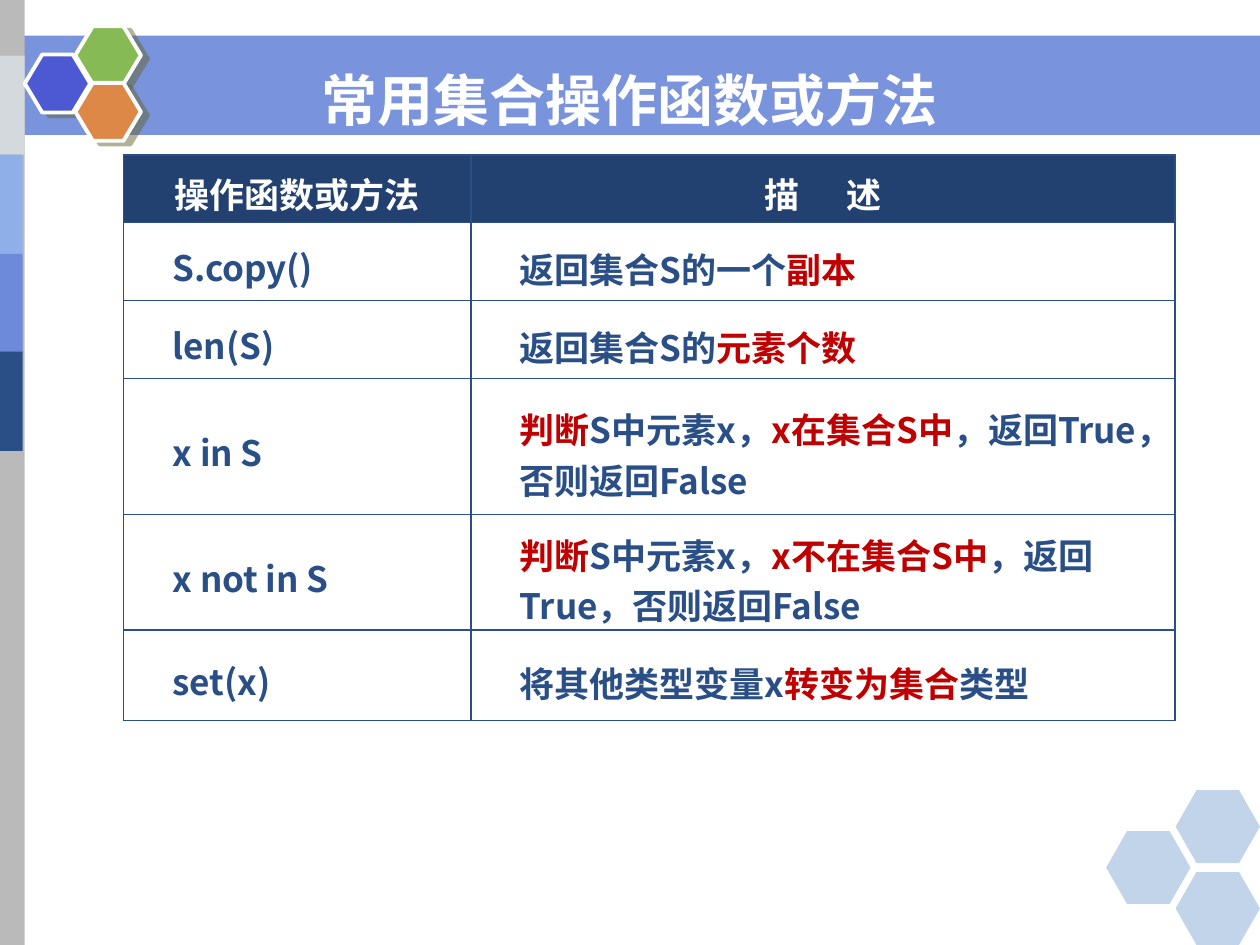
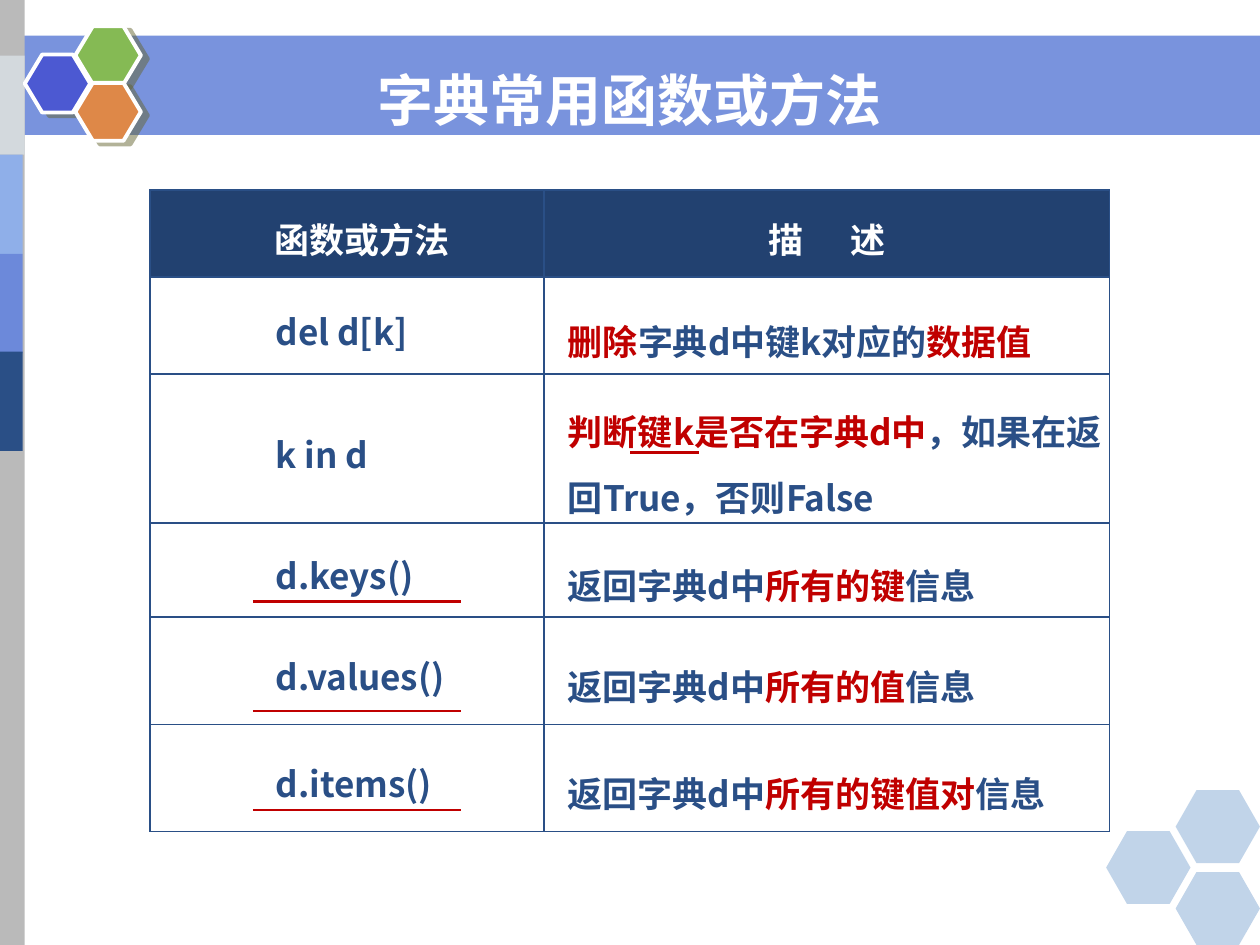
from lxml import etree
from pptx import Presentation
from pptx import util as u
from pptx.dml.color import RGBColor
from pptx.enum import shapes, text
from pptx.oxml import ns

WHITE = RGBColor(0xFF, 0xFF, 0xFF)
GREY = RGBColor(0xBA, 0xBA, 0xBA)
SILVER = RGBColor(0xD3, 0xD9, 0xDD)
SKY = RGBColor(0x8F, 0xAF, 0xE9)
PERIWINKLE = RGBColor(0x6C, 0x89, 0xDA)
NAVY = RGBColor(0x2A, 0x4F, 0x86)
HEADER_NAVY = RGBColor(0x22, 0x41, 0x70)
INDIGO = RGBColor(0x4C, 0x59, 0xD2)
GREEN = RGBColor(0x85, 0xBA, 0x54)
ORANGE = RGBColor(0xDE, 0x88, 0x48)
PALE_BLUE = RGBColor(0x50, 0x86, 0xC2)
SHADOW = RGBColor(0x66, 0x66, 0x33)
RED = RGBColor(0xC0, 0x00, 0x00)

TITLE_FONT = "DejaVu Sans"
TABLE_FONT = "Noto Sans CJK SC"
SLIDE_WIDTH, SLIDE_HEIGHT = 25.4, 19.05


def child(parent, tag, **attributes):
    """Append a drawing element with the given attributes."""
    values = {key: str(value) for key, value in attributes.items()}
    return etree.SubElement(parent, ns.qn(tag), values)


def write(paragraph, words, font, size, color, spacing=0):
    """Add one bold run of text."""
    run = paragraph.add_run()
    run.text = words
    run.font.name = font
    run.font.size = u.Pt(size)
    run.font.bold = True
    run.font.color.rgb = color
    child(run.font._element, "a:ea", typeface=font)
    if spacing:
        run.font._element.set("spc", str(round(spacing * 100)))


def draw(slide, kind, box, color, opacity=100):
    """Add a filled shape without outline at a box in centimetres."""
    shape = slide.shapes.add_shape(kind, *map(u.Cm, box))
    shape.shadow.inherit = False
    shape.line.fill.background()
    shape.fill.solid()
    shape.fill.fore_color.rgb = color
    if opacity < 100:
        tint = shape.fill._xPr.find(".//" + ns.qn("a:srgbClr"))
        child(tint, "a:alpha", val=opacity * 1000)
    return shape


def hexagon_trio(slide, left, top, size, step, drop, colors, bend, opacity=100):
    """Place three hexagons: one at the left, two stacked at the right."""
    places = [(0, drop / 2), (step, 0), (step, drop)]
    trio = []
    for (x, y), color in zip(places, colors):
        box = (left + x, top + y, *size)
        hexagon = draw(slide, shapes.MSO_SHAPE.HEXAGON, box, color, opacity)
        hexagon.adjustments[0] = bend
        trio.append(hexagon)
    return trio


def outline_with_shadow(shape):
    """Give a shape a white outline and a hard olive shadow."""
    shape.line.color.rgb = WHITE
    shape.line.width = u.Pt(2.25)
    effects = shape._element.spPr.find(ns.qn("a:effectLst"))
    cast = child(effects, "a:outerShdw", blurRad=0, dist=u.Pt(4.5),
                 dir=27 * 60000, algn="ctr", rotWithShape=0)
    child(child(cast, "a:srgbClr", val=SHADOW), "a:alpha", val=50000)


def backdrop(slide):
    """Draw the shared band, side stripes and hexagons on the slide's layout."""
    rectangle = shapes.MSO_SHAPE.RECTANGLE
    parts = [
        draw(slide, rectangle, (0, 0.72, SLIDE_WIDTH, 2), PERIWINKLE, 91),
        draw(slide, rectangle, (0, 0, 0.5, SLIDE_HEIGHT), GREY),
    ]
    stripes = [(1.12, 0.5, SILVER), (3.12, 0.46, SKY),
               (5.12, 0.46, PERIWINKLE), (7.09, 0.46, NAVY)]
    for top, width, color in stripes:
        parts.append(draw(slide, rectangle, (0, top, width, 2), color))
    emblem = hexagon_trio(slide, 0.5, 0.53, (1.32, 1.17), 1.02, 1.14,
                          (INDIGO, GREEN, ORANGE), 0.3)
    for hexagon in emblem:
        outline_with_shadow(hexagon)
    corner = hexagon_trio(slide, 22.3, 15.93, (1.7, 1.47), 1.4, 1.65,
                          [PALE_BLUE] * 3, 0.286, 35)
    for part in parts + emblem + corner:
        slide.slide_layout.shapes.element.append(part.element)


def headline(slide, words):
    """Put the heading into the title placeholder over the band."""
    title = slide.shapes.title
    title.left, title.top = 0, u.Cm(1.19)
    title.width, title.height = u.Cm(SLIDE_WIDTH), u.Cm(1.63)
    frame = title.text_frame
    frame.auto_size = text.MSO_AUTO_SIZE.NONE
    frame.vertical_anchor = text.MSO_ANCHOR.MIDDLE
    paragraph = frame.paragraphs[0]
    paragraph.alignment = text.PP_ALIGN.CENTER
    write(paragraph, words, TITLE_FONT, 32, WHITE)


def prepare_cell(cell, color, left=0, top=0.18, right=0):
    """Set a cell's borders, fill and margins and return its paragraph."""
    properties = cell._tc.get_or_add_tcPr()
    for side in ("a:lnL", "a:lnR", "a:lnT", "a:lnB"):
        border = child(properties, side, w=u.Pt(1))
        child(child(border, "a:solidFill"), "a:srgbClr", val=NAVY)
    cell.fill.solid()
    cell.fill.fore_color.rgb = color
    cell.vertical_anchor = text.MSO_ANCHOR.MIDDLE
    cell.margin_left, cell.margin_right = u.Cm(left), u.Cm(right)
    cell.margin_top, cell.margin_bottom = u.Cm(top), 0
    return cell.text_frame.paragraphs[0]


def header_row(table, heading, align, right):
    """Fill the dark heading row."""
    style = dict(font=TABLE_FONT, size=20, color=WHITE)
    first = prepare_cell(table.cell(0, 0), HEADER_NAVY, right=right)
    first.alignment = align
    write(first, heading, **style)
    second = prepare_cell(table.cell(0, 1), HEADER_NAVY)
    second.alignment = text.PP_ALIGN.CENTER
    for words, spacing in (("描", 0), (" ", 22.5), ("述", 0)):
        write(second, words, spacing=spacing, **style)


def method_table(slide, left, top, widths, heights, heading, methods, indents,
                 align=text.PP_ALIGN.CENTER, heading_right=0, line_spacing=1.0):
    """Build a table of calls and descriptions; text between bars is red."""
    frame = slide.shapes.add_table(
        len(heights), 2, u.Cm(left), u.Cm(top), u.Cm(sum(widths)), u.Cm(sum(heights)))
    table = frame.table
    table.horz_banding = False
    for column, width in zip(table.columns, widths):
        column.width = u.Cm(width)
    for row, height in zip(table.rows, heights):
        row.height = u.Cm(height)
    header_row(table, heading, align, heading_right)
    style = dict(font=TABLE_FONT, size=20, spacing=-0.05)
    for row, (call, description) in enumerate(methods, 1):
        name = prepare_cell(table.cell(row, 0), WHITE, left=indents[0])
        write(name, call, color=NAVY, **style)
        meaning = prepare_cell(table.cell(row, 1), WHITE, left=indents[1], top=0.28)
        meaning.line_spacing = line_spacing
        for index, words in enumerate(description.split("|")):
            if words:
                write(meaning, words, color=RED if index % 2 else NAVY, **style)


def underline(slide, left, top, length):
    """Draw a red horizontal rule."""
    rule = slide.shapes.add_connector(
        shapes.MSO_CONNECTOR.STRAIGHT, u.Cm(left), u.Cm(top), u.Cm(left + length), u.Cm(top))
    rule.line.color.rgb = RED
    rule.line.width = u.Pt(1.5)
    child(rule._element.spPr, "a:effectLst")


def set_slide(slide):
    """Show the common set operations."""
    headline(slide, "常用集合操作函数或方法")
    methods = [
        ("S.copy()", "返回集合S的一个|副本"),
        ("len(S)", "返回集合S的|元素个数"),
        ("x in S", "|判断|S中元素x，|x在集合S中|，返回True，否则返回False"),
        ("x not in S", "|判断|S中元素x，|x不在集合S中|，返回True，否则返回False"),
        ("set(x)", "将其他类型变量x|转变为集合|类型"),
    ]
    method_table(slide, 2.49, 3.12, (7, 14.2), (1.37, 1.57, 1.57, 2.74, 2.16, 1.83),
                 "操作函数或方法", methods, (0.99, 0.99))


def dictionary_slide(slide, left=3.02, top=3.83):
    """Show the common dictionary functions with underlined calls."""
    headline(slide, "字典常用函数或方法")
    methods = [
        ("del d[k]", "|删除|字典d中键k对应的|数据值"),
        ("k in d", "|判断键k是否在字典d中|，如果在返回True，否则False"),
        ("d.keys()", "返回字典d中|所有的键|信息"),
        ("d.values()", "返回字典d中|所有的值|信息"),
        ("d.items()", "返回字典d中|所有的键值对|信息"),
    ]
    method_table(slide, left, top, (7.95, 11.4), (1.75, 1.96, 3, 1.9, 2.16, 2.16),
                 "函数或方法", methods, (2.54, 0.48),
                 text.PP_ALIGN.RIGHT, 1.9, 1.3)
    for offset in (8.29, 10.5, 12.5):
        underline(slide, left + 2.08, top + offset, 4.2)
    underline(slide, left + 9.68, top + 5.29, 1.4)


def main():
    """Build and save the presentation."""
    deck = Presentation()
    deck.slide_width, deck.slide_height = u.Cm(SLIDE_WIDTH), u.Cm(SLIDE_HEIGHT)
    layout = deck.slide_layouts.get_by_name("Title Only")
    for placeholder in list(layout.placeholders)[1:]:
        layout.shapes.element.remove(placeholder.element)
    builders = (set_slide, dictionary_slide)
    slides = [deck.slides.add_slide(layout) for _ in builders]
    backdrop(slides[0])
    for build, slide in zip(builders, slides):
        build(slide)
    deck.save("out.pptx")


if __name__ == "__main__":
    main()
